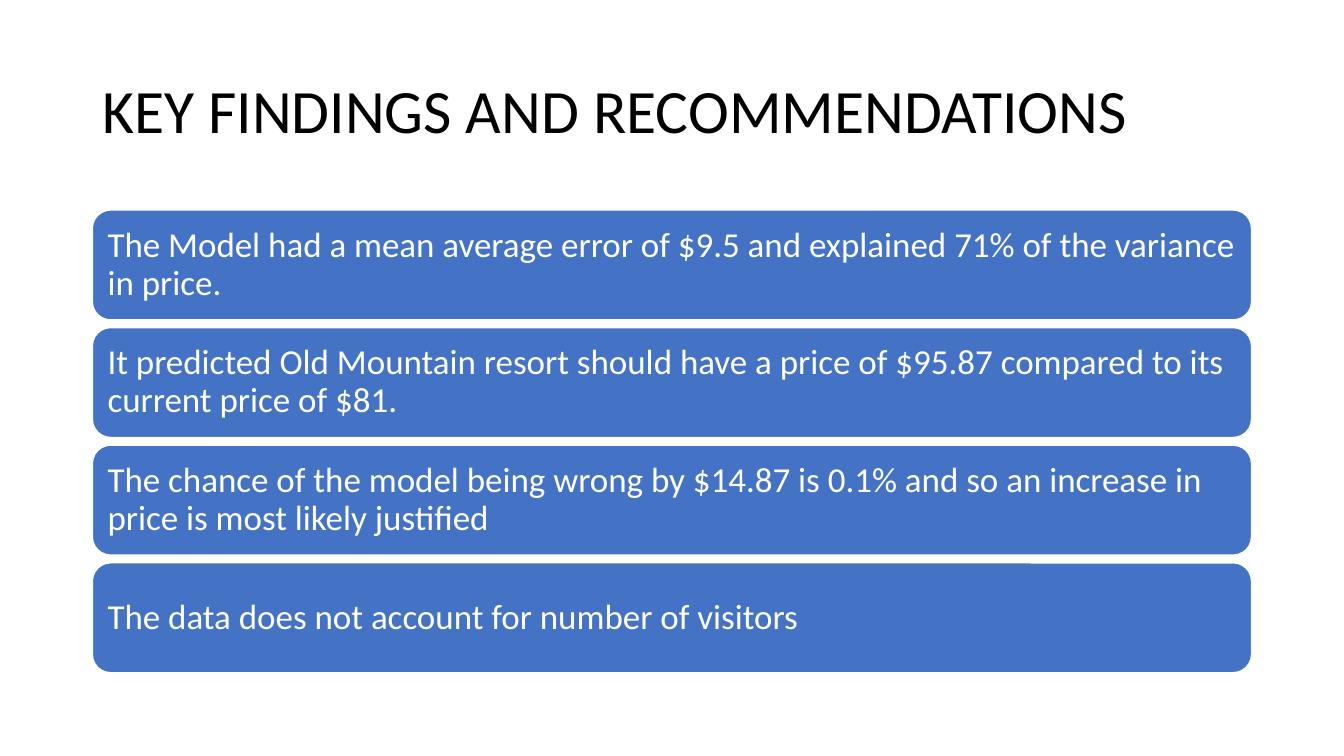
from pptx import Presentation
from pptx.dml.color import RGBColor as RGB
from pptx.enum.shapes import MSO_SHAPE as SHAPE
from pptx.enum.text import MSO_ANCHOR as ANCHOR, PP_ALIGN as ALIGN
from pptx.util import Pt

COLORS = {"title": "000000", "bar": "4472C4", "white": "FFFFFF"}
FONT = "Calibri"
LEFT, WIDTH = 66, 828
BAR_TOP, BAR_HEIGHT, BAR_PITCH = 150, 78.5, 84

FINDINGS = [
    "The Model had a mean average error of $9.5 and explained 71% of the variance in price.",
    "It predicted Old Mountain resort should have a price of $95.87 compared to its current price of $81.",
    "The chance of the model being wrong by $14.87 is 0.1% and so an increase in price is most likely justified",
    "The data does not account for number of visitors",
]


def write(tf, text, size, color):
    tf.word_wrap = True
    tf.vertical_anchor = ANCHOR.MIDDLE
    p = tf.paragraphs[0]
    p.alignment = ALIGN.LEFT
    p.line_spacing = 0.9
    r = p.add_run()
    r.text = text
    r.font.name = FONT
    r.font.size = Pt(size)
    r.font.color.rgb = RGB.from_string(COLORS[color])


prs = Presentation()
prs.slide_width, prs.slide_height = Pt(960), Pt(540)
s = prs.slides.add_slide(prs.slide_layouts[5])

# Title
title = s.shapes.title
title.left, title.top, title.width, title.height = Pt(LEFT), Pt(28.8), Pt(WIDTH), Pt(104.4)
write(title.text_frame, "KEY FINDINGS AND RECOMMENDATIONS", 44, "title")

# One rounded bar per finding
for i, finding in enumerate(FINDINGS):
    sp = s.shapes.add_shape(SHAPE.ROUNDED_RECTANGLE, Pt(LEFT), Pt(BAR_TOP + i * BAR_PITCH),
                            Pt(WIDTH), Pt(BAR_HEIGHT))
    sp.shadow.inherit = False
    sp.fill.solid()
    sp.fill.fore_color.rgb = RGB.from_string(COLORS["bar"])
    sp.line.color.rgb = RGB.from_string(COLORS["white"])
    sp.line.width = Pt(1)
    tf = sp.text_frame
    tf.margin_left = tf.margin_right = tf.margin_top = tf.margin_bottom = Pt(7)
    write(tf, finding, 25, "white")

prs.save("out.pptx")
